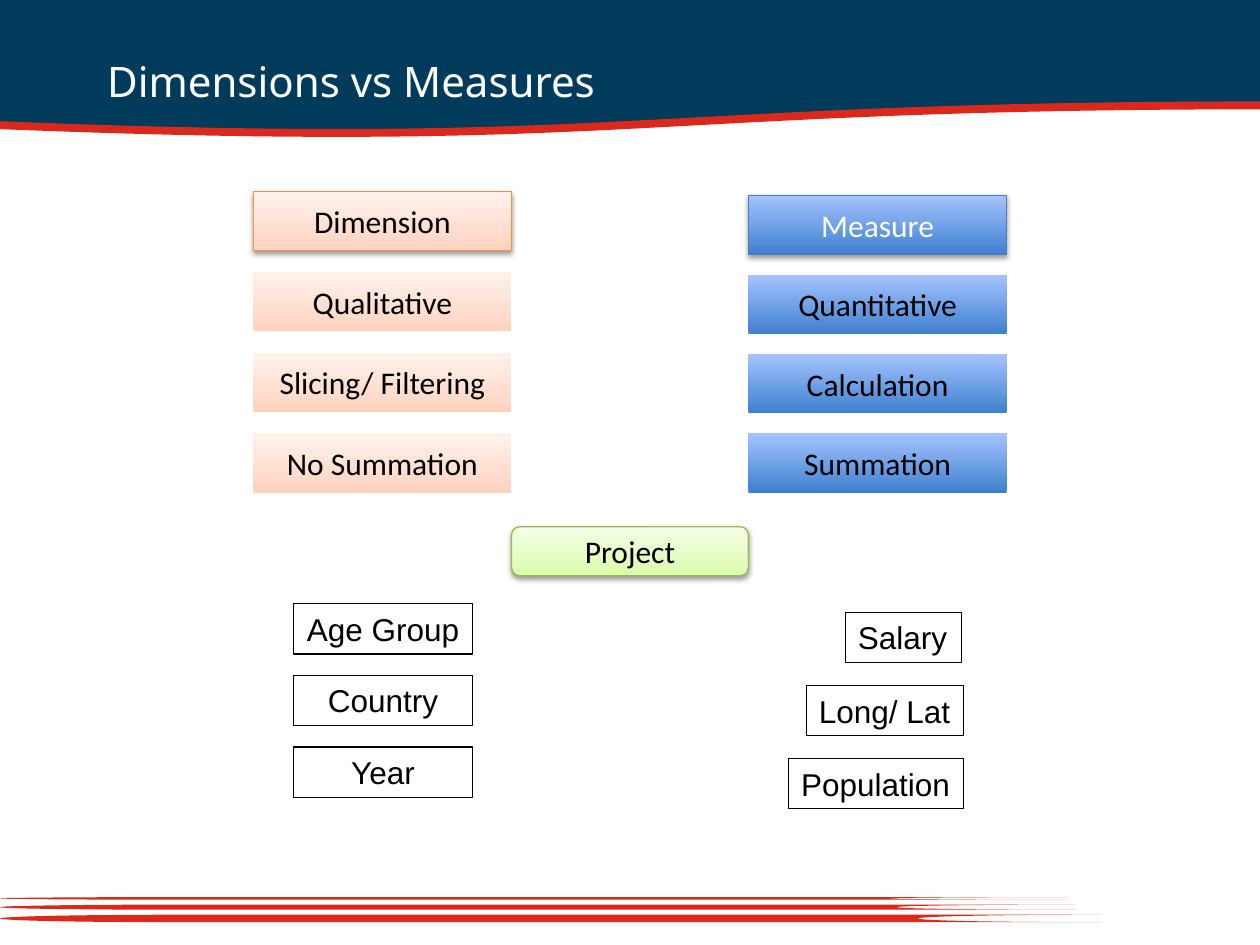
from lxml.etree import SubElement
from pptx import Presentation
from pptx.dml.color import RGBColor
from pptx.enum.shapes import MSO_SHAPE as Shape
from pptx.enum.text import MSO_ANCHOR as Anchor, MSO_AUTO_SIZE as AutoSize, PP_ALIGN as Align
from pptx.oxml.ns import qn
from pptx.util import Inches, Pt

PEACH = [(0, "FFD2BD"), (35, "FFDED0"), (100, "FFF2ED")]
BLUE = [(0, "3F80CE"), (100, "A4C4FF")]
GREEN = [(0, "DAFDA7"), (35, "E4FCC2"), (100, "F5FFE7")]
NAVY, RED, BLACK, WHITE = "003B5C", "DA291C", "000000", "FFFFFF"


def color(value):
    return RGBColor.from_string(value)


def write(shape, text, font="Calibri", size=18, ink=BLACK, align=Align.CENTER,
          anchor=Anchor.MIDDLE, wrap=True, fit=AutoSize.NONE):
    frame = shape.text_frame
    frame.word_wrap = wrap
    frame.auto_size = fit
    frame.vertical_anchor = anchor
    para = frame.paragraphs[0]
    para.alignment = align
    span = para.add_run()
    span.text = text
    span.font.name = font
    span.font.size = Pt(size)
    span.font.color.rgb = color(ink)


def add_gradient(shape, stops):
    shape.fill.gradient()
    shape.fill.gradient_angle = 90
    stop_list = shape._element.spPr.find(".//" + qn("a:gsLst"))
    for old in list(stop_list):
        stop_list.remove(old)
    for percent, value in stops:
        stop = SubElement(stop_list, qn("a:gs"), pos=str(percent * 1000))
        SubElement(stop, qn("a:srgbClr"), val=value)


def add_shadow(shape, alpha=38, distance=1.6):
    effects = shape._element.spPr.find(qn("a:effectLst"))
    shadow = SubElement(effects, qn("a:outerShdw"), blurRad=str(Pt(3.1)),
                        dist=str(Pt(distance)), dir="5400000", rotWithShape="0")
    ink = SubElement(shadow, qn("a:srgbClr"), val=BLACK)
    SubElement(ink, qn("a:alpha"), val=str(alpha * 1000))


def add_box(page, kind, box, fill=None, line=None, weight=0.75):
    shape = page.shapes.add_shape(kind, *map(Inches, box))
    shape.shadow.inherit = False
    if isinstance(fill, list):
        add_gradient(shape, fill)
    elif fill:
        shape.fill.solid()
        shape.fill.fore_color.rgb = color(fill)
    else:
        shape.fill.background()
    if line:
        shape.line.color.rgb = color(line)
        shape.line.width = Pt(weight)
    else:
        shape.line.fill.background()
    return shape


def add_header(page, box, title_box, text):
    wave = add_box(page, Shape.FLOWCHART_DOCUMENT, box, NAVY, RED, 4.5)
    title = page.shapes.title
    title._element.addprevious(wave._element)
    title.left, title.top, title.width, title.height = map(Inches, title_box)
    title.text_frame.margin_top = Inches(0.02)
    write(title, text, font="Noto Sans", size=24, ink=WHITE,
          align=Align.LEFT, anchor=Anchor.TOP)


def add_footer(page, left, top):
    for offset, width, height in [(0, 8.47, 0.02), (0.06, 8.54, 0.04), (0.14, 8.74, 0.06)]:
        add_box(page, Shape.FLOWCHART_STORED_DATA, (left, top + offset, width, height), RED)


def add_traits(page, left, top, step, labels, fill, line, heading_ink=BLACK):
    for row, label in enumerate(labels):
        heading = row == 0
        tile = add_box(page, Shape.RECTANGLE, (left, top + row * step, 2.05, 0.47),
                       fill, line if heading else None)
        if heading:
            add_shadow(tile)
        write(tile, label, ink=heading_ink if heading else BLACK)


def add_project(page, box):
    badge = add_box(page, Shape.ROUNDED_RECTANGLE, box, GREEN, "98B955")
    add_shadow(badge)
    write(badge, "Project")


def add_examples(page, top, step, examples, align, wrap=False):
    for row, (label, left, width) in enumerate(examples):
        frame = add_box(page, Shape.RECTANGLE, (left, top + row * step, width, 0.4), line=BLACK)
        write(frame, label, font="Arial", align=align, anchor=Anchor.TOP,
              wrap=wrap, fit=AutoSize.SHAPE_TO_FIT_TEXT)


def main():
    deck = Presentation()
    deck.slide_width, deck.slide_height = Inches(10), Inches(7.5)
    page = deck.slides.add_slide(deck.slide_layouts[5])
    add_header(page, (-0.04, -0.11, 10.08, 1.18), (0.75, 0.42, 8.25, 0.67),
               "Dimensions vs Measures")
    add_footer(page, 0, 7.12)
    add_traits(page, 2.01, 1.52, 0.64,
               ["Dimension", "Qualitative", "Slicing/ Filtering", "No Summation"],
               PEACH, "F69240")
    add_traits(page, 5.94, 1.55, 0.63,
               ["Measure", "Quantitative", "Calculation", "Summation"],
               BLUE, "4B7EBC", WHITE)
    add_project(page, (4.06, 4.18, 1.88, 0.39))
    add_examples(page, 4.79, 0.57,
                 [(label, 2.33, 1.42) for label in ("Age Group", "Country", "Year")],
                 Align.CENTER, wrap=True)
    add_examples(page, 4.86, 0.58,
                 [("Salary", 6.71, 0.92), ("Long/ Lat", 6.4, 1.25), ("Population", 6.26, 1.39)],
                 Align.LEFT)
    deck.save("out.pptx")


if __name__ == "__main__":
    main()
